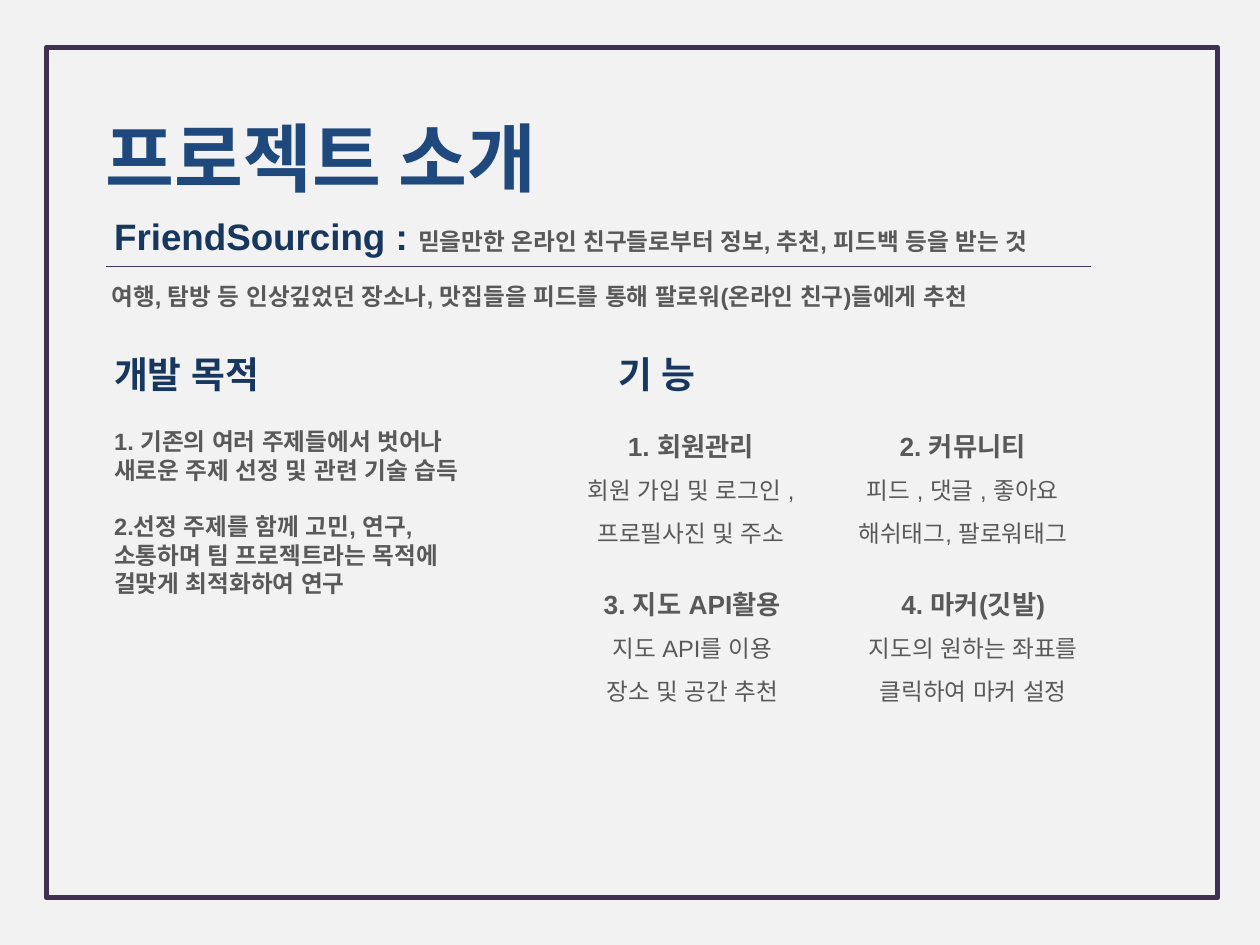
from dataclasses import dataclass

from lxml import etree
from pptx import Presentation
from pptx import util as u
from pptx.dml.color import RGBColor
from pptx.enum import shapes, text
from pptx.oxml.ns import qn

COLORS = {
    "background": "F2F2F2",
    "title": "1F497D",
    "heading": "17375E",
    "body": "595959",
    "frame": "403152",
}
LATIN = "Arial"
KOREAN = "Noto Sans CJK KR"
LEFT = 1.11
HEADING_TOP = 3.67


@dataclass
class Span:
    words: str
    size: float = 18
    color: str = "body"
    bold: bool = True
    font: str = LATIN


@dataclass
class Feature:
    name: str
    lines: list[str]
    left: float
    top: float
    width: float


FEATURES = [
    Feature("1. 회원관리", ["회원 가입 및 로그인 , 프로필사진 및 주소"], 5.96, 4.34, 2.7),
    Feature("2. 커뮤니티", ["피드 , 댓글 , 좋아요", "해쉬태그, 팔로워태그"], 8.83, 4.34, 2.71),
    Feature("3. 지도 API활용", ["지도 API를 이용", "장소 및 공간 추천"], 5.97, 6.01, 2.71),
    Feature("4. 마커(깃발)", ["지도의 원하는 좌표를 클릭하여 마커 설정"], 8.6, 6.01, 3.39),
]


def rgb(name: str) -> RGBColor:
    return RGBColor.from_string(COLORS[name])


def add_text(page, paragraphs: list[list[Span]], left: float, top: float,
             width: float, height: float, *, align=text.PP_ALIGN.LEFT,
             spacing: float = 1.0, gap: float = 0, inset: bool = True) -> None:
    """Add a wrapped text box; gap is the space in points between paragraphs."""
    box = page.shapes.add_textbox(*map(u.Inches, (left, top, width, height)))
    frame = box.text_frame
    frame.word_wrap = True
    if not inset:
        frame.margin_left = frame.margin_right = 0
        frame.margin_top = frame.margin_bottom = 0
    for index, spans in enumerate(paragraphs):
        para = frame.add_paragraph() if index else frame.paragraphs[0]
        para.alignment = align
        para.line_spacing = spacing
        if index:
            para.space_before = u.Pt(gap)
        for span in spans:
            run = para.add_run()
            run.text = span.words
            run.font.size = u.Pt(span.size)
            run.font.bold = span.bold
            run.font.name = span.font
            run.font.color.rgb = rgb(span.color)
            east_asian = etree.SubElement(run.font._element, qn("a:ea"))
            east_asian.set("typeface", span.font)


def add_frame(page) -> None:
    border = page.shapes.add_shape(
        shapes.MSO_SHAPE.RECTANGLE, *map(u.Inches, (0.49, 0.5, 12.39, 9)))
    border.shadow.inherit = False
    border.fill.background()
    border.line.color.rgb = rgb("frame")
    border.line.width = u.Pt(4)


def add_rule(page, left: float, right: float, y: float) -> None:
    rule = page.shapes.add_connector(
        shapes.MSO_CONNECTOR.STRAIGHT, *map(u.Inches, (left, y, right, y)))
    rule.line.color.rgb = rgb("frame")
    rule.line.width = u.Pt(1)
    etree.SubElement(rule._element.spPr, qn("a:effectLst"))


def add_heading(page, words: str, left: float, width: float) -> None:
    add_text(page, [[Span(words, 28, "heading")]], left, HEADING_TOP, width, 0.57)


def add_feature(page, feature: Feature) -> None:
    details = [[Span(line, bold=False)] for line in feature.lines]
    add_text(page, [[Span(feature.name, 20)], *details],
             feature.left, feature.top, feature.width, 1.51,
             align=text.PP_ALIGN.CENTER, spacing=1.5)


def main() -> None:
    deck = Presentation()
    deck.slide_width, deck.slide_height = u.Inches(13.33), u.Inches(10)
    page = deck.slides.add_slide(deck.slide_layouts[6])
    page.background.fill.solid()
    page.background.fill.fore_color.rgb = rgb("background")

    add_frame(page)
    add_text(page, [[Span("프로젝트 소개", 57, "title", font=KOREAN)]],
             1.12, 1.18, 10.63, 1.64, inset=False)
    add_text(page, [[Span("FriendSourcing : ", 28, "heading"),
                     Span("믿을만한 온라인 친구들로부터 정보, 추천, 피드백 등을 받는 것")]],
             LEFT, 2.21, 10.89, 0.57)
    add_rule(page, 1.12, 11.54, 2.82)
    add_text(page, [[Span("여행, 탐방 등 인상깊었던 장소나, 맛집들을 피드를 통해 "
                          "팔로워(온라인 친구)들에게 추천")]],
             1.08, 2.93, 10.89, 0.4)

    add_heading(page, "개발 목적", LEFT, 2.36)
    add_text(page, [
        [Span("1. 기존의 여러 주제들에서 벗어나 새로운 주제 선정 및 관련 기술 습득")],
        [Span("2.선정 주제를 함께 고민, 연구, 소통하며 팀 프로젝트라는 목적에 "
              "걸맞게 최적화하여 연구")],
    ], LEFT, 4.47, 4.15, 1.92, gap=21.6)

    add_heading(page, "기 능", 6.44, 2.17)
    for feature in FEATURES:
        add_feature(page, feature)

    deck.save("out.pptx")


if __name__ == "__main__":
    main()
